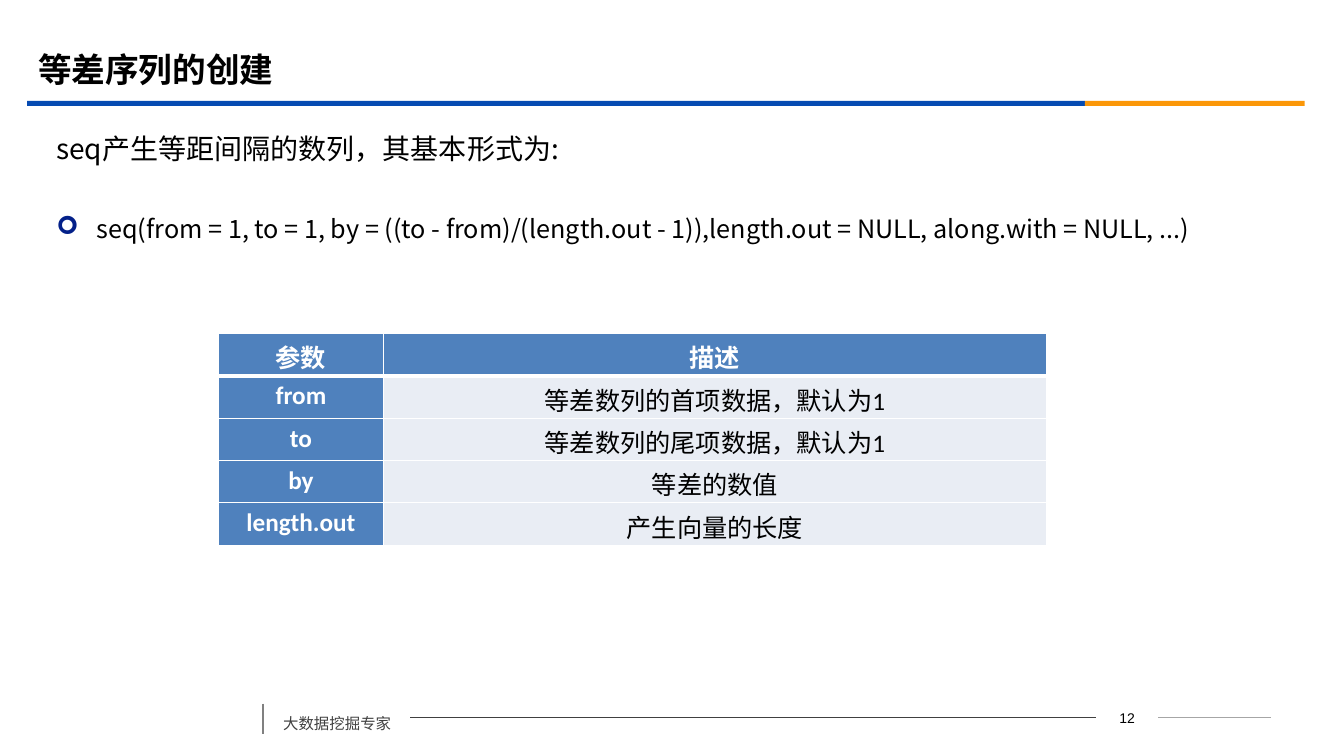
from lxml.etree import SubElement
from pptx import Presentation
from pptx.dml.color import RGBColor
from pptx.enum.shapes import MSO_CONNECTOR, MSO_SHAPE
from pptx.enum.text import MSO_ANCHOR, PP_ALIGN
from pptx.oxml.ns import qn
from pptx.util import Inches, Pt

HUES = {
    "blue": "064BB2", "gold": "FB9708", "navy": "032089",
    "head": "4F81BD", "pale": "E9EDF4", "white": "FFFFFF",
    "black": "000000", "dark": "404040", "gray": "808080", "light": "A6A6A6",
}
SANS = "Noto Sans CJK SC"


def hue(name):
    return RGBColor.from_string(HUES[name])


def write(frame, text, size, font=SANS, color="black", bold=False, align=PP_ALIGN.LEFT):
    frame.word_wrap = True
    para = frame.paragraphs[0]
    para.alignment = align
    run = para.add_run()
    run.text = text
    run.font.size = Pt(size)
    run.font.name = font
    run.font.bold = bold
    run.font.color.rgb = hue(color)
    SubElement(run.font._element, qn("a:ea"), typeface=SANS)
    return para


deck = Presentation()
deck.slide_width = Inches(13.33)
deck.slide_height = Inches(7.5)
slide = deck.slides.add_slide(deck.slide_layouts[6])
shapes = slide.shapes

for left, width, color in [(0.27, 10.49, "blue"), (10.76, 2.18, "gold")]:
    bar = shapes.add_shape(MSO_SHAPE.RECTANGLE, Inches(left), Inches(1), Inches(width), Inches(0.05))
    bar.shadow.inherit = False
    bar.fill.solid()
    bar.fill.fore_color.rgb = hue(color)
    bar.line.fill.background()

rules = [
    (4.07, 7.12, 10.87, 7.12, "dark", 0.75),
    (11.49, 7.12, 12.61, 7.12, "light", 0.75),
    (2.61, 6.98, 2.61, 7.28, "gray", 1.25),
]
for x1, y1, x2, y2, color, weight in rules:
    rule = shapes.add_connector(MSO_CONNECTOR.STRAIGHT, Inches(x1), Inches(y1), Inches(x2), Inches(y2))
    rule.line.color.rgb = hue(color)
    rule.line.width = Pt(weight)
    SubElement(rule._element.spPr, qn("a:effectLst"))

page = shapes.add_textbox(Inches(10.87), Inches(6.99), Inches(0.62), Inches(0.25))
write(page.text_frame, "12", 10, "Arial", align=PP_ALIGN.CENTER)

foot = shapes.add_textbox(Inches(2.71), Inches(6.94), Inches(1.36), Inches(0.38))
para = write(foot.text_frame, "大数据挖掘专家", 11, color="dark")
para.line_spacing = 1.5
para.space_before = Pt(6)

title = shapes.add_textbox(Inches(0.28), Inches(0.39), Inches(12), Inches(0.58))
title.text_frame.vertical_anchor = MSO_ANCHOR.MIDDLE
write(title.text_frame, "等差序列的创建", 24, bold=True)

intro = shapes.add_textbox(Inches(0.46), Inches(1.24), Inches(12.15), Inches(0.47))
intro.text_frame.vertical_anchor = MSO_ANCHOR.MIDDLE
para = write(intro.text_frame, "seq产生等距间隔的数列，其基本形式为:", 20)
para.space_before = Pt(4)

body = shapes.add_textbox(Inches(0.46), Inches(1.92), Inches(12.15), Inches(4.74))
usage = "seq(from = 1, to = 1, by = ((to - from)/(length.out - 1)),length.out = NULL, along.with = NULL, ...)"
para = write(body.text_frame, usage, 18)
para.line_spacing = 1.5
para.space_before = Pt(10)
props = para._p.get_or_add_pPr()
props.set("marL", str(Inches(0.4)))
props.set("indent", str(-Inches(0.4)))
tint = SubElement(props, qn("a:buClr"))
SubElement(tint, qn("a:srgbClr"), val=HUES["navy"])
SubElement(props, qn("a:buFont"), typeface="Wingdings")
SubElement(props, qn("a:buChar"), char="➢")

rows = [
    ("参数", "描述"),
    ("from", "等差数列的首项数据，默认为1"),
    ("to", "等差数列的尾项数据，默认为1"),
    ("by", "等差的数值"),
    ("length.out", "产生向量的长度"),
]
table = shapes.add_table(len(rows), 2, Inches(2.17), Inches(3.31), Inches(8.21), Inches(2.11)).table
table.first_col = True
table.horz_banding = False
for col, width in zip(table.columns, (1.63, 6.58)):
    col.width = Inches(width)
for i, texts in enumerate(rows):
    table.rows[i].height = Inches(0.42)
    for j, text in enumerate(texts):
        cell = table.cell(i, j)
        label = i == 0 or j == 0
        write(cell.text_frame, text, 18, "Calibri", "white" if label else "black", label, PP_ALIGN.CENTER)
        props = cell._tc.get_or_add_tcPr()
        for side in "LRTB":
            thick = (i, side) in [(0, "B"), (1, "T")]
            edge = SubElement(props, qn(f"a:ln{side}"), w=str(Pt(3 if thick else 1)))
            fill = SubElement(edge, qn("a:solidFill"))
            SubElement(fill, qn("a:srgbClr"), val=HUES["white"])
        cell.fill.solid()
        cell.fill.fore_color.rgb = hue("head" if label else "pale")

deck.save("out.pptx")
